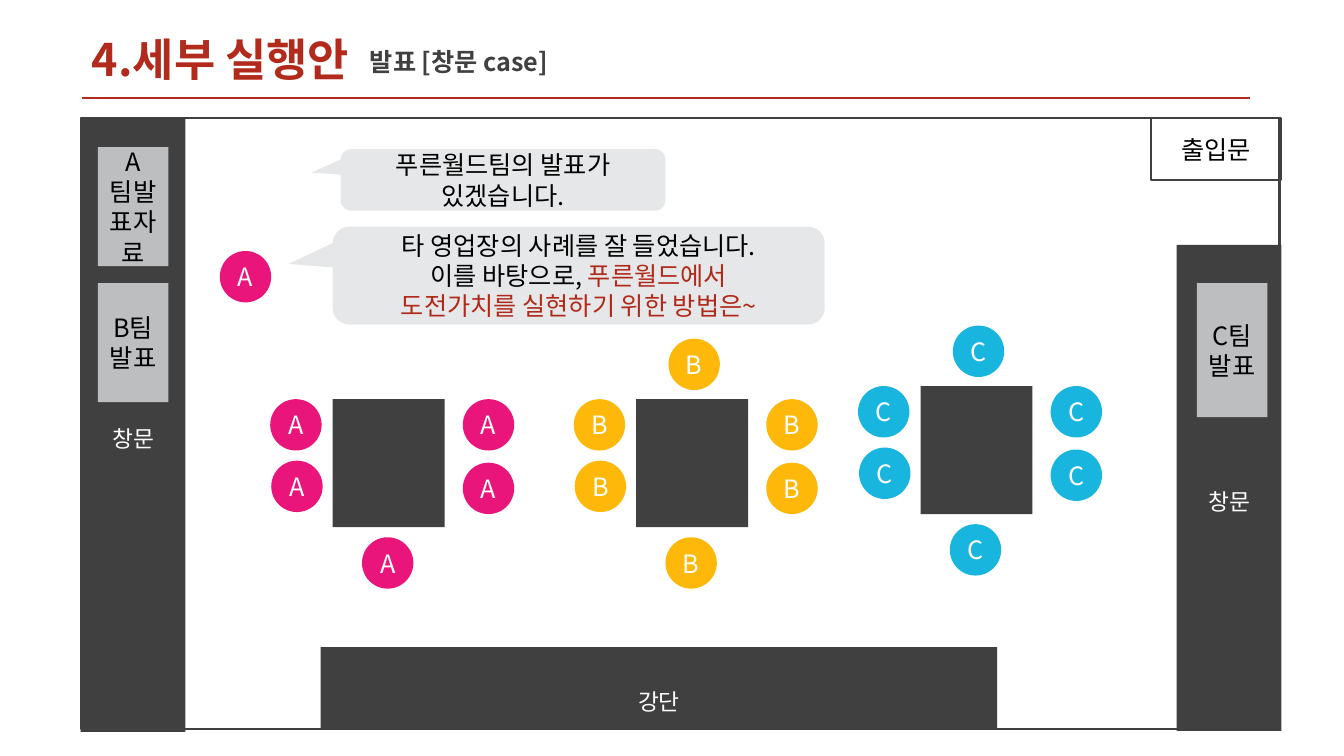
"""Builds the seating plan slide for the window-side team presentations."""
from dataclasses import dataclass

from lxml import etree
from pptx import Presentation
from pptx.dml.color import RGBColor
from pptx.enum.shapes import MSO_CONNECTOR, MSO_SHAPE
from pptx.enum.text import MSO_ANCHOR, MSO_AUTO_SIZE, PP_ALIGN
from pptx.oxml.ns import qn
from pptx.util import Pt

RECTANGLE, OVAL = MSO_SHAPE.RECTANGLE, MSO_SHAPE.OVAL
CALLOUT = MSO_SHAPE.ROUNDED_RECTANGULAR_CALLOUT
STRAIGHT = MSO_CONNECTOR.STRAIGHT
TOP, MIDDLE = MSO_ANCHOR.TOP, MSO_ANCHOR.MIDDLE
LEFT, CENTER = PP_ALIGN.LEFT, PP_ALIGN.CENTER
NO_AUTOFIT = MSO_AUTO_SIZE.NONE


@dataclass(frozen=True)
class Theme:
    font: str = "Noto Sans CJK KR"
    title_size: int = 32
    area_size: int = 28
    body_size: int = 18
    title: str = "B12A1C"
    accent: str = "B1291A"
    dark: str = "404040"
    panel: str = "BCBEC0"
    bubble: str = "E6E7E8"
    black: str = "000000"
    white: str = "FFFFFF"
    team_a: str = "EA157A"
    team_b: str = "FEB80A"
    team_c: str = "18B5DF"


THEME = Theme()
PX = 9144
SLIDE_SIZE = (1333, 750)

TITLE = ("4.세부 실행안", (81, 26, 656, 64))
SUBTITLE = ("발표 [창문 case]", (357, 41, 336, 40))
TITLE_RULE = (81, 97, 1240, 97)

TABLE_SIZE = (111, 127)
SEAT_SIZE = 51
SIDE_SEATS = [(-62, 0), (-61, 61), (129, 0), (129, 63), (29, 137)]
HEAD_SEAT = (32, -60)
TEAMS = [
    ("A", THEME.team_a, (330, 396), SIDE_SEATS),
    ("B", THEME.team_b, (631, 396), [HEAD_SEAT] + SIDE_SEATS),
    ("C", THEME.team_c, (913, 383), [HEAD_SEAT] + SIDE_SEATS),
]
PRESENTER = ("A", THEME.team_a, (218, 249))

BUBBLES = [
    ((330, 225, 488, 97), [
        [("타 영업장의 사례를 잘 들었습니다.", THEME.black)],
        [("이를 바탕으로, ", THEME.black), ("푸른월드에서", THEME.accent)],
        [("도전가치를 실현하기 위한 방법은~", THEME.accent)],
    ]),
    ((338, 148, 322, 61), [
        [("푸른월드팀의 발표가", THEME.black)],
        [("있겠습니다.", THEME.black)],
    ]),
]
BUBBLE_TAIL = (-0.59, -0.12, 0.17)

AREAS = [
    ("창문", (80, 117, 104, 609)),
    ("창문", (1167, 243, 104, 482)),
    ("강단", (318, 642, 671, 82)),
]
PANELS = [
    (["A팀발표자료"], (97, 146, 70, 118)),
    (["C팀", "발표"], (1187, 281, 70, 133)),
    (["B팀", "발표"], (97, 281, 70, 118)),
]
DOOR = ("출입문", (1142, 117, 128, 62))
ROOM = (80, 117, 1189, 606)


def emu(lengths):
    return [length * PX for length in lengths]


def color(value):
    return RGBColor.from_string(value)


def write(shape, lines, size=THEME.body_size, align=CENTER, anchor=MIDDLE, bold=False, baseline=None):
    frame = shape.text_frame
    frame.word_wrap = True
    frame.auto_size = NO_AUTOFIT
    frame.vertical_anchor = anchor
    for index, line in enumerate(lines):
        paragraph = frame.add_paragraph() if index else frame.paragraphs[0]
        paragraph.alignment = align
        for text, text_color in line:
            run = paragraph.add_run()
            run.text = text
            run.font.size = Pt(size)
            run.font.bold = bold
            run.font.color.rgb = color(text_color)
            run.font.name = THEME.font
            properties = run.font._element
            etree.SubElement(properties, qn("a:ea")).set("typeface", THEME.font)
            if baseline:
                properties.set("baseline", str(baseline))


def add_block(slide, kind, box, fill=None, outline=None):
    shape = slide.shapes.add_shape(kind, *emu(box))
    shape.shadow.inherit = False
    if fill:
        shape.fill.solid()
        shape.fill.fore_color.rgb = color(fill)
    else:
        shape.fill.background()
    if outline:
        shape.line.color.rgb = color(outline)
        shape.line.width = Pt(1.5)
    else:
        shape.line.fill.background()
    return shape


def add_seat(slide, letter, team_color, position):
    seat = add_block(slide, OVAL, (*position, SEAT_SIZE, SEAT_SIZE), team_color)
    write(seat, [[(letter, THEME.white)]])


def add_teams(slide):
    for letter, team_color, (left, top), seats in TEAMS:
        add_block(slide, RECTANGLE, (left, top, *TABLE_SIZE), THEME.dark)
        for across, down in seats:
            add_seat(slide, letter, team_color, (left + across, top + down))
    add_seat(slide, *PRESENTER)


def add_bubbles(slide):
    for box, lines in BUBBLES:
        bubble = add_block(slide, CALLOUT, box, THEME.bubble)
        for index, value in enumerate(BUBBLE_TAIL):
            bubble.adjustments[index] = value
        write(bubble, lines)


def add_room(slide):
    for name, box in AREAS:
        area = add_block(slide, RECTANGLE, box, THEME.dark)
        write(area, [[(name, THEME.white)]], THEME.area_size, baseline=-25000)
    for lines, box in PANELS:
        panel = add_block(slide, RECTANGLE, box, THEME.panel)
        write(panel, [[(line, THEME.black)] for line in lines])
    door_name, door_box = DOOR
    door = add_block(slide, RECTANGLE, door_box, outline=THEME.dark)
    write(door, [[(door_name, THEME.black)]])
    add_block(slide, RECTANGLE, ROOM, outline=THEME.dark)


def add_heading(slide):
    rule = slide.shapes.add_connector(STRAIGHT, *emu(TITLE_RULE))
    rule.line.color.rgb = color(THEME.title)
    rule.line.width = Pt(1.75)
    etree.SubElement(rule._element.spPr, qn("a:effectLst"))
    text, box = TITLE
    title = slide.shapes.title
    title.left, title.top, title.width, title.height = emu(box)
    write(title, [[(text, THEME.title)]], THEME.title_size, LEFT, TOP, True)
    text, box = SUBTITLE
    subtitle = slide.shapes.add_textbox(*emu(box))
    write(subtitle, [[(text, THEME.dark)]], align=LEFT, anchor=TOP, bold=True)


def main():
    presentation = Presentation()
    presentation.slide_width, presentation.slide_height = emu(SLIDE_SIZE)
    slide = presentation.slides.add_slide(presentation.slide_layouts[5])
    add_teams(slide)
    add_bubbles(slide)
    add_room(slide)
    add_heading(slide)
    presentation.save("out.pptx")


if __name__ == "__main__":
    main()
